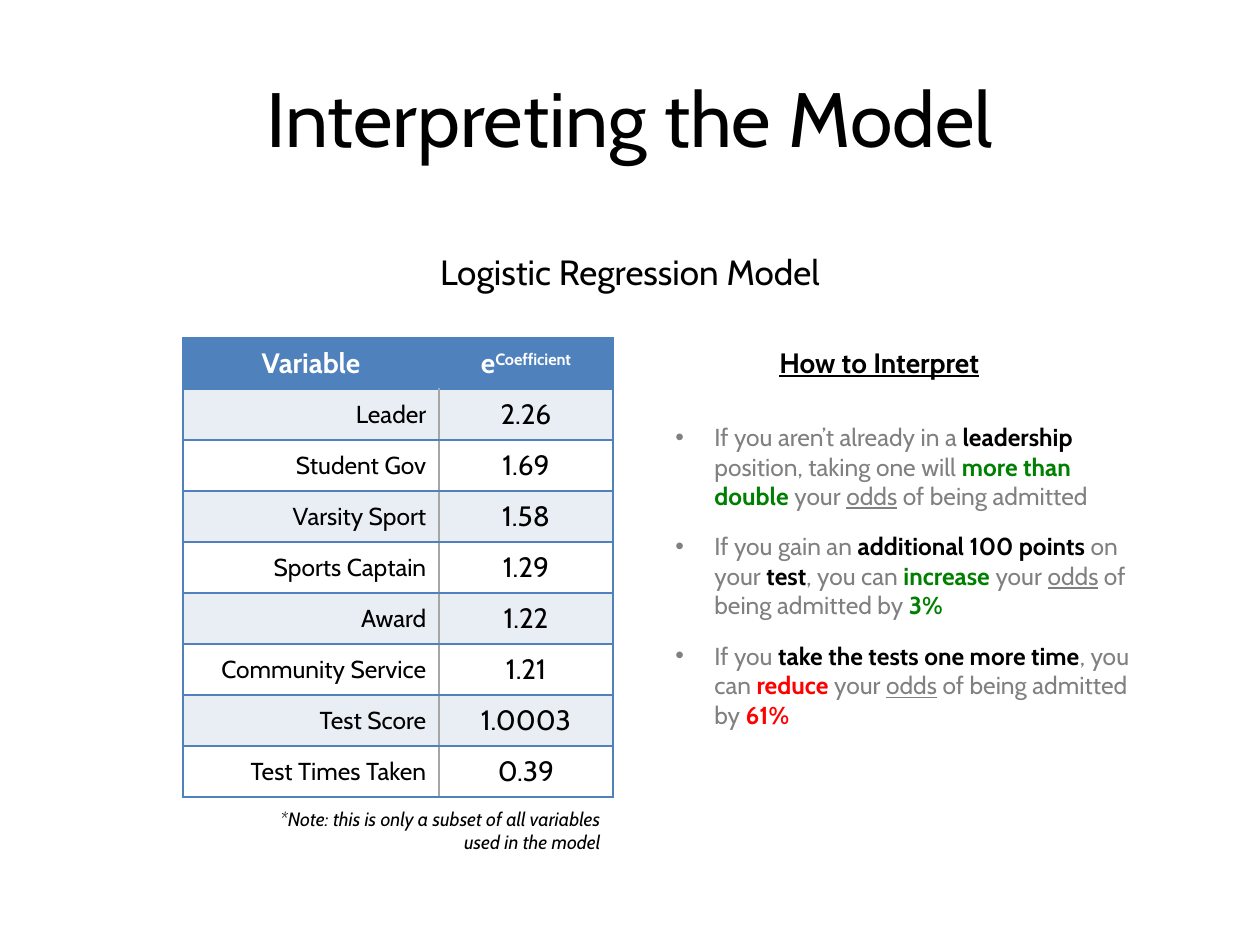
"""Build the slide that interprets a logistic regression model."""
from lxml.etree import SubElement
from pptx import Presentation
from pptx.dml.color import RGBColor
from pptx.enum.text import MSO_ANCHOR as Anchor, PP_ALIGN as Align
from pptx.oxml.ns import qn
from pptx.util import Emu, Pt

SCALE = 914400 / 126
FONT = "Cabin"
BLACK = RGBColor(0x00, 0x00, 0x00)
WHITE = RGBColor(0xFF, 0xFF, 0xFF)
BLUE = RGBColor(0x4F, 0x81, 0xBD)
BAND = RGBColor(0xE9, 0xED, 0xF4)
RULE = RGBColor(0xA6, 0xA6, 0xA6)
GRAY = RGBColor(0x80, 0x80, 0x80)
GREEN = RGBColor(0x00, 0x80, 0x00)
RED = RGBColor(0xFF, 0x00, 0x00)

PLAIN = {"color": GRAY}
ODDS = {"color": GRAY, "underline": True}
KEY = {"color": BLACK, "bold": True}
GAIN = {"color": GREEN, "bold": True}
LOSS = {"color": RED, "bold": True}

COEFFICIENTS = [
    ("Leader", "2.26"),
    ("Student Gov", "1.69"),
    ("Varsity Sport", "1.58"),
    ("Sports Captain", "1.29"),
    ("Award", "1.22"),
    ("Community Service", "1.21"),
    ("Test Score", "1.0003"),
    ("Test Times Taken", "0.39"),
]
COLUMN_WIDTHS = (256, 174)
ROW_HEIGHT = 51

INTERPRETATIONS = [
    [("If you aren’t already in a ", PLAIN), ("leadership", KEY),
     (" position, taking one will ", PLAIN), ("more than double ", GAIN),
     ("your ", PLAIN), ("odds", ODDS), (" of being admitted", PLAIN)],
    [("If you gain an ", PLAIN), ("additional 100 points ", KEY),
     ("on your ", PLAIN), ("test", KEY), (", you can ", PLAIN),
     ("increase ", GAIN), ("your ", PLAIN), ("odds", ODDS),
     (" of being admitted by ", PLAIN), ("3%", GAIN)],
    [("If you ", PLAIN), ("take the tests one more time", KEY),
     (", you can ", PLAIN), ("reduce ", LOSS), ("your ", PLAIN),
     ("odds", ODDS), (" of being admitted by ", PLAIN), ("61%", LOSS)],
]


def px(length):
    return Emu(round(length * SCALE))


def add_run(paragraph, text, size, color=BLACK, bold=False, italic=False,
            underline=False):
    run = paragraph.add_run()
    run.text = text
    font = run.font
    font.name, font.size = FONT, Pt(size)
    font.bold, font.italic, font.underline = bold, italic, underline
    font.color.rgb = color
    return run


def add_frame(slide, left, top, width, height, wrap=True):
    frame = slide.shapes.add_textbox(
        px(left), px(top), px(width), px(height)).text_frame
    frame.word_wrap = wrap
    return frame


def add_label(slide, box, text, size, align, wrap=True, anchor=Anchor.TOP,
              **style):
    frame = add_frame(slide, *box, wrap=wrap)
    frame.vertical_anchor = anchor
    paragraph = frame.paragraphs[0]
    paragraph.alignment = align
    add_run(paragraph, text, size, **style)


def set_bullet(paragraph, indent):
    properties = paragraph._p.get_or_add_pPr()
    properties.set("marL", str(px(indent)))
    properties.set("indent", str(-px(indent)))
    SubElement(properties, qn("a:buFont"), typeface="Arial")
    SubElement(properties, qn("a:buChar"), char="•")


def add_bullets(slide, box, items):
    frame = add_frame(slide, *box)
    for index, runs in enumerate(items):
        paragraph = frame.add_paragraph() if index else frame.paragraphs[0]
        paragraph.space_after = Pt(12)
        set_bullet(paragraph, 39)
        for text, style in runs:
            add_run(paragraph, text, 14, **style)


def set_border(cell, side, color, width):
    line = SubElement(cell._tc.get_or_add_tcPr(), qn(f"a:ln{side}"),
                      w=str(Pt(width)))
    fill = SubElement(line, qn("a:solidFill"))
    SubElement(fill, qn("a:srgbClr"), val=str(color))


def format_cell(cell, fill, align, inner_side, inner_color, inner_width):
    for side in "LRTB":
        if side == inner_side:
            set_border(cell, side, inner_color, inner_width)
        else:
            set_border(cell, side, BLUE, 1)
    cell.fill.solid()
    cell.fill.fore_color.rgb = fill
    cell.vertical_anchor = Anchor.MIDDLE
    paragraph = cell.text_frame.paragraphs[0]
    paragraph.alignment = align
    return paragraph


def add_coefficient_table(slide, left, top):
    row_count = len(COEFFICIENTS) + 1
    table = slide.shapes.add_table(
        row_count, 2, px(left), px(top), px(sum(COLUMN_WIDTHS)),
        px(ROW_HEIGHT * row_count)).table
    table.first_row = table.horz_banding = False
    for column, width in zip(table.columns, COLUMN_WIDTHS):
        column.width = px(width)
    for row in table.rows:
        row.height = px(ROW_HEIGHT)

    variable, exponential = [
        format_cell(table.cell(0, index), BLUE, Align.CENTER, side, BLUE, 1)
        for index, side in enumerate("RL")]
    add_run(variable, "Variable", 16, WHITE, bold=True)
    add_run(exponential, "e", 16, WHITE, bold=True)
    exponent = add_run(exponential, "Coefficient", 16, WHITE, bold=True)
    exponent._r.get_or_add_rPr().set("baseline", "30000")

    for index, (name, value) in enumerate(COEFFICIENTS, 1):
        fill = BAND if index % 2 else WHITE
        name_cell = format_cell(table.cell(index, 0), fill, Align.RIGHT,
                                "R", RULE, 0.75)
        add_run(name_cell, name, 14)
        value_cell = format_cell(table.cell(index, 1), fill, Align.CENTER,
                                 "L", RULE, 0.75)
        add_run(value_cell, value, 16)


def main():
    deck = Presentation()
    deck.slide_width, deck.slide_height = px(1260), px(945)
    slide = deck.slides.add_slide(deck.slide_layouts[6])

    add_label(slide, (63, 38, 1134, 157), "Interpreting the Model", 44,
              Align.CENTER, anchor=Anchor.MIDDLE)
    add_label(slide, (317, 244, 626, 55), "Logistic Regression Model", 20,
              Align.CENTER)
    add_coefficient_table(slide, 183, 338)
    add_label(slide, (767, 339, 231, 47), "How to Interpret", 16,
              Align.LEFT, wrap=False, bold=True, underline=True)
    add_bullets(slide, (663, 416, 485, 335), INTERPRETATIONS)
    add_label(slide, (236, 801, 377, 59),
              "*Note: this is only a subset of all variables used in the model",
              11, Align.RIGHT, italic=True)
    deck.save("out.pptx")


if __name__ == "__main__":
    main()
